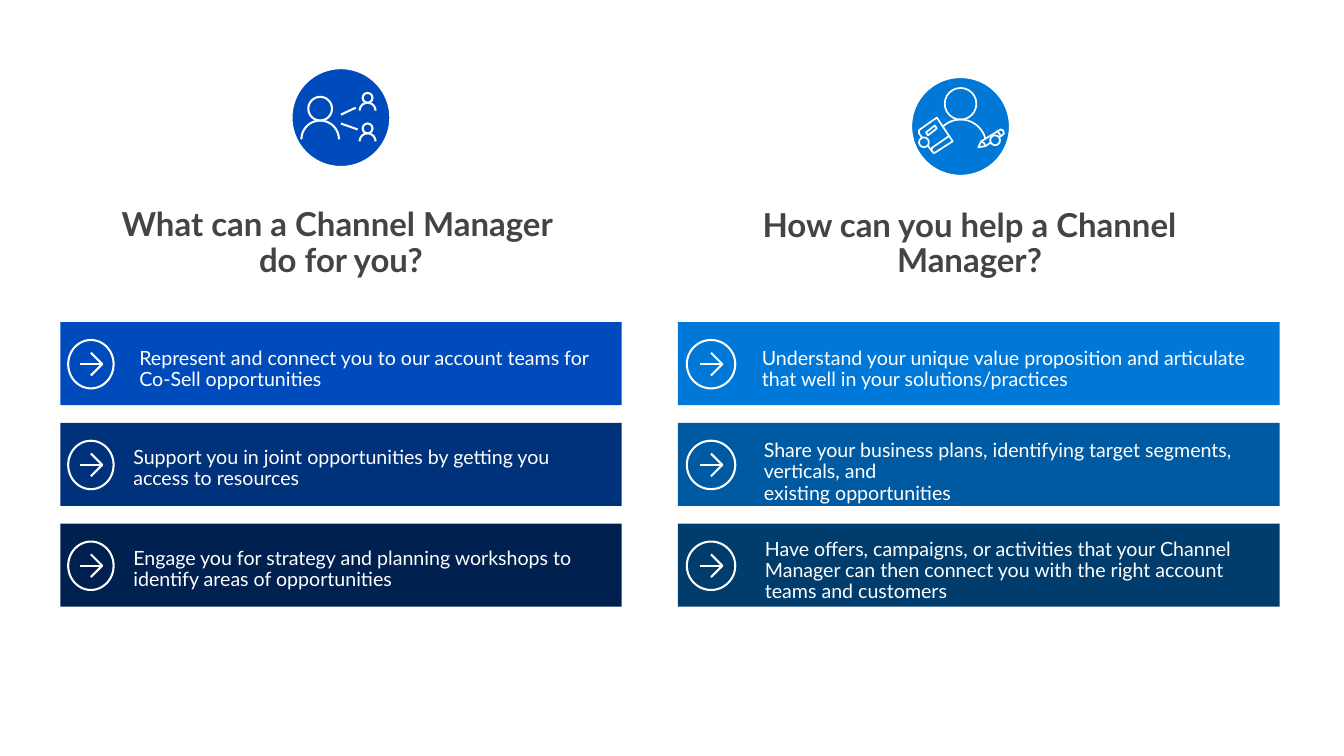
from math import cos, pi, sin

from lxml import etree
from pptx import Presentation
from pptx.dml.color import RGBColor
from pptx.enum.shapes import MSO_CONNECTOR, MSO_SHAPE
from pptx.enum.text import MSO_AUTO_SIZE, PP_ALIGN
from pptx.oxml.ns import qn
from pptx.util import Inches, Pt

RECT, OVAL = MSO_SHAPE.RECTANGLE, MSO_SHAPE.OVAL
STRAIGHT = MSO_CONNECTOR.STRAIGHT
CENTER, LEFT = PP_ALIGN.CENTER, PP_ALIGN.LEFT
GROW = MSO_AUTO_SIZE.SHAPE_TO_FIT_TEXT

THEME = {
    "font": "Lato", "ink": "444444", "white": "FFFFFF",
    "blue": "004BBC", "sky": "0078D7",
    "title": 24, "body": 14.3, "line": 1.5, "thin": 1.25,
}

# Content: each row is (fill, text, text box left, top, width, height)
COLUMNS = [
    {
        "title": "What can a Channel Manager \ndo for you?",
        "title_box": (0.61, 2.04, 5.68, 0.8),
        "left": 0.61, "width": 5.68, "icon": (0.69, 0.46),
        "rows": [
            (THEME["blue"], "Represent and connect you to our account teams for "
             "Co-Sell opportunities", 1.21, 3.37, 5.08, 0.76),
            ("00317B", "Support you in joint opportunities by getting you "
             "access to resources", 1.15, 4.37, 4.7, 0.76),
            ("002050", "Engage you for strategy and planning workshops to "
             "identify areas of opportunities", 1.15, 5.39, 5.08, 0.76),
        ],
    },
    {
        "title": "How can you help a Channel Manager?",
        "title_box": (7.07, 2.04, 5.48, 0.81),
        "left": 6.86, "width": 6.09, "icon": (6.95, 0.49),
        "rows": [
            (THEME["sky"], "Understand your unique value proposition and articulate "
             "that well in your solutions/practices", 7.51, 3.37, 5.45, 0.76),
            ("005AA1", "Share your business plans, identifying target segments, "
             "verticals, and \nexisting opportunities", 7.53, 4.3, 5.2, 0.98),
            ("003C6C", "Have offers, campaigns, or activities that your Channel "
             "Manager can then connect you with the right account teams and "
             "customers", 7.54, 5.3, 5.45, 0.98),
        ],
    },
]
ROW_TOP, ROW_STEP, ROW_HIGH = 3.26, 1.02, 0.84

# Icon parts: people are (center x, head top, head radius, shoulder radius)
TEAM = [(3.24, 0.98, 0.12, 0.19), (3.72, 0.94, 0.05, 0.08), (3.72, 1.25, 0.05, 0.08)]
LINKS = [((3.45, 1.16), (3.6, 1.09)), ((3.45, 1.25), (3.62, 1.31))]
HELPER = (9.72, 0.89, 0.16, 0.26)
BOOK = [(9.43, 1.53), (9.3, 1.35), (9.3, 1.32), (9.31, 1.31), (9.48, 1.19),
        (9.64, 1.43), (9.47, 1.54), (9.45, 1.55), (9.43, 1.53), (9.43, 1.5),
        (9.44, 1.49), (9.6, 1.38)]
LABEL = [(9.39, 1.37), (9.48, 1.3), (9.46, 1.27), (9.37, 1.34), (9.39, 1.37)]
PENCIL = [(9.97, 1.48), (9.9, 1.49), (9.93, 1.43), (10.11, 1.32), (10.13, 1.31),
          (10.15, 1.32), (10.16, 1.35), (10.14, 1.37), (9.97, 1.48)]
MARKS = [[(10.09, 1.32), (10.13, 1.38)], [(9.97, 1.48), (9.96, 1.45), (9.93, 1.43)]]
HANDS = [(9.3, 1.39), (10.02, 1.37)]

deck = Presentation()
deck.slide_width, deck.slide_height = Inches(13.6), Inches(7.65)
slide = deck.slides.add_slide(deck.slide_layouts[6])
shapes = slide.shapes


def color(name):
    return RGBColor.from_string(name)


def paint(shape, fill=None, line=None):
    """Set fill and white outline; None means off."""
    shape.shadow.inherit = False
    if fill:
        shape.fill.solid()
        shape.fill.fore_color.rgb = color(fill)
    else:
        shape.fill.background()
    if line:
        shape.line.color.rgb = color(THEME["white"])
        shape.line.width = Pt(line)
    else:
        shape.line.fill.background()


def block(kind, box, fill=None, line=None):
    paint(shapes.add_shape(kind, *map(Inches, box)), fill, line)


def trace(points, fill=None, line=THEME["line"]):
    start, *rest = [(Inches(x), Inches(y)) for x, y in points]
    path = shapes.build_freeform(*start, scale=1.0)
    path.add_line_segments(rest, close=False)
    paint(path.convert_to_shape(), fill, line)


def link(start, end, width=THEME["line"]):
    line = shapes.add_connector(STRAIGHT, *map(Inches, start + end))
    line.line.color.rgb = color(THEME["white"])
    line.line.width = Pt(width)
    etree.SubElement(line._element.spPr, qn("a:effectLst"))


def write(text, box, pads, size, ink, bold=False, align=LEFT, after=0):
    frame = shapes.add_textbox(*map(Inches, box)).text_frame
    frame.word_wrap = True
    frame.auto_size = GROW
    (frame.margin_left, frame.margin_top,
     frame.margin_right, frame.margin_bottom) = map(Inches, pads)
    para = frame.paragraphs[0]
    para.text = text
    para.alignment, para.line_spacing, para.space_after = align, 0.9, Pt(after)
    font = para.font
    font.name, font.size, font.bold = THEME["font"], Pt(size), bold
    font.color.rgb = color(ink)


def person(mid, top, head, body, line=THEME["line"]):
    block(OVAL, (mid - head, top, 2 * head, 2 * head), line=line)
    base = top + 2 * head + body
    turns = [pi * i / 24 for i in range(25)]
    trace([(mid + body * cos(t), base - body * sin(t)) for t in turns], line=line)


def arrow(left, top, width, height):
    """Draw a ringed arrow pointing right."""
    block(OVAL, (left, top, width, height), line=THEME["line"])
    x, y, arm = left + width / 2, top + height / 2, 0.115
    trace([(x, y - arm), (x + arm, y), (x, y + arm)])
    link((x - arm, y), (x + arm, y))


# Headings and rows
for col in COLUMNS:
    write(col["title"], col["title_box"], (0, 0.07, 0, 0), THEME["title"],
          THEME["ink"], bold=True, align=CENTER)
    for i, (fill, text, *box) in enumerate(col["rows"]):
        top = ROW_TOP + i * ROW_STEP
        block(RECT, (col["left"], top, col["width"], ROW_HIGH), fill)
        left, width = col["icon"]
        arrow(left, top + 0.18, width, 0.49)
        write(text, box, (0.2, 0.16, 0.2, 0.16), THEME["body"], THEME["white"], after=6)

# Team icon
block(OVAL, (2.95, 0.69, 1, 1), THEME["blue"], THEME["line"])
for member in TEAM:
    person(*member)
for start, end in LINKS:
    link(start, end)

# Helper icon with book and pencil
sky, thin = THEME["sky"], THEME["thin"]
block(OVAL, (9.22, 0.78, 1, 1), sky, THEME["line"])
person(*HELPER, line=thin)
for part in (BOOK, LABEL, PENCIL):
    trace(part, sky, thin)
for mark in MARKS:
    trace(mark, line=thin)
for x, y in HANDS:
    block(OVAL, (x, y, 0.1, 0.1), sky, thin)

deck.save("out.pptx")
